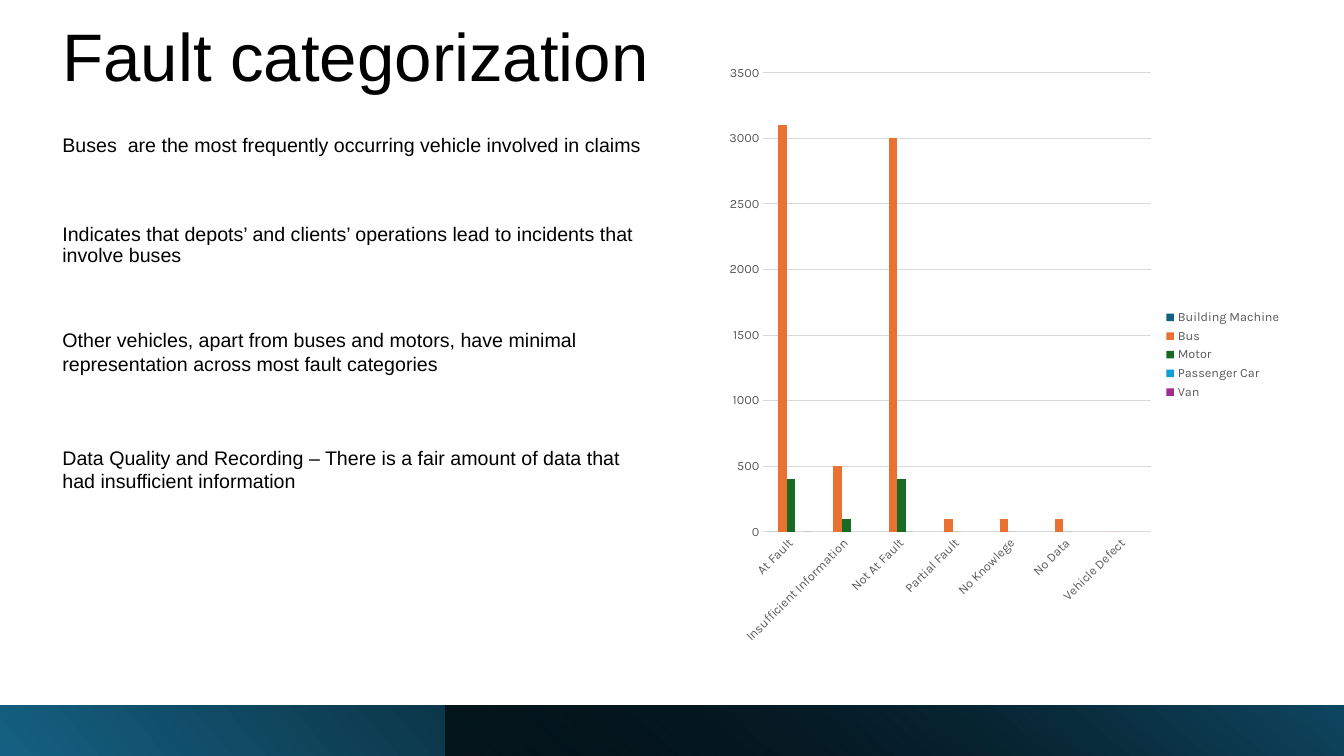
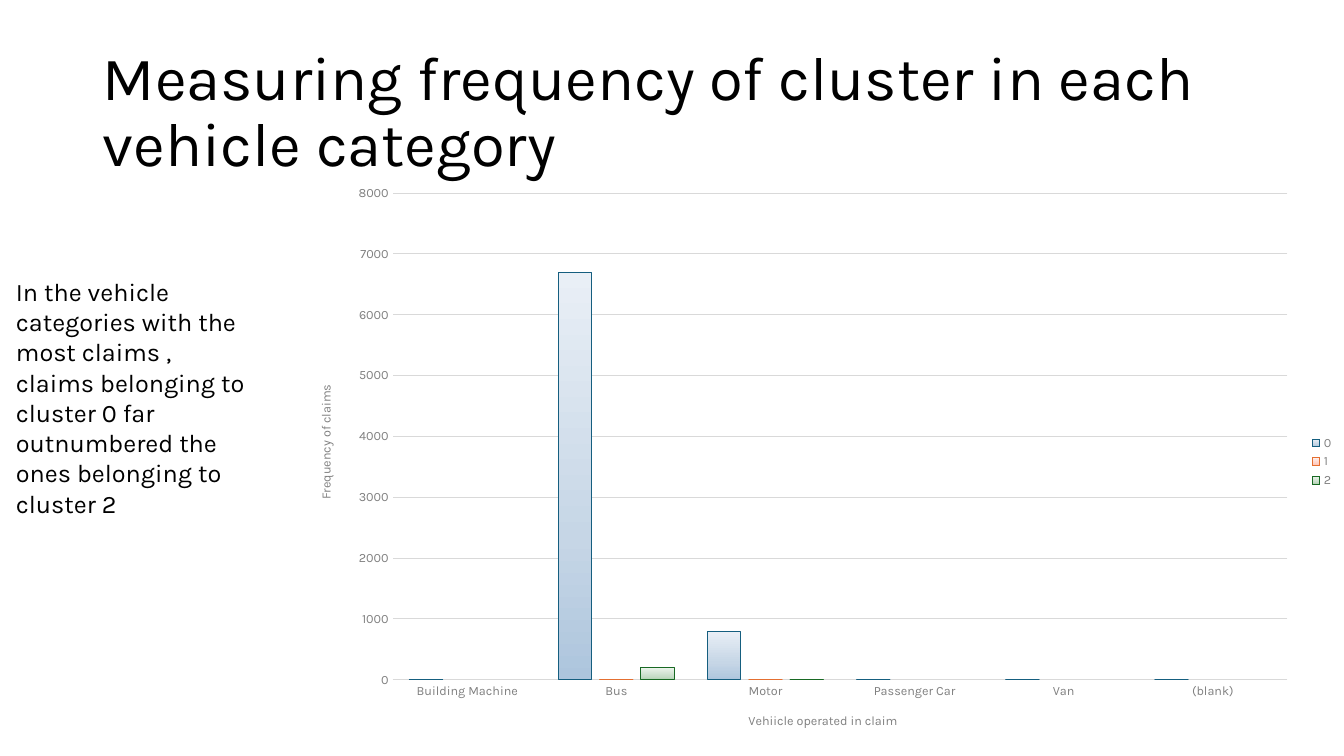
"""Build two slides on vehicle claims: fault categories and cluster frequency."""
from dataclasses import dataclass

from lxml.etree import SubElement
from pptx import Presentation
from pptx.chart.data import CategoryChartData
from pptx.dml.color import RGBColor
from pptx.enum.chart import XL_CHART_TYPE, XL_LEGEND_POSITION, XL_TICK_MARK
from pptx.enum.shapes import MSO_SHAPE
from pptx.enum.text import MSO_ANCHOR, MSO_AUTO_SIZE, PP_ALIGN
from pptx.oxml import parse_xml
from pptx.oxml.ns import nsdecls, qn
from pptx.util import Inches, Pt


@dataclass(frozen=True)
class Theme:
    ink: RGBColor = RGBColor.from_string("000000")
    grid: RGBColor = RGBColor.from_string("D9D9D9")
    fault_label: RGBColor = RGBColor.from_string("595959")
    cluster_label: RGBColor = RGBColor.from_string("808080")
    findings_font: str = "Arial"
    main_font: str = "Karla"
    fault_title: Pt = Pt(48)
    cluster_title: Pt = Pt(44)
    findings: Pt = Pt(14)
    cluster_note: Pt = Pt(18)
    chart_label: Pt = Pt(9)
    band_blue: str = "156082"
    band_dark: str = "000000"
    band_end: str = "104862"
    fault_series: tuple = ("156082", "E97132", "196B24", "0F9ED5", "A02B93")
    cluster_lines: tuple = ("155E7F", "E46F31", "186923")
    cluster_fills: tuple = (
        ("ADC5DD", "C6D6E6", "E9EFF6"),
        ("FFC2B4", "FFD4CA", "FFEEEB"),
        ("B3D2B4", "CADECB", "EBF3EB"),
    )


theme = Theme()


def set_font(font, size, color, name):
    font.size, font.name, font.bold = size, name, False
    font.color.rgb = color


def set_gradient(fill, properties, stops, angle):
    fill.background()
    gradient = parse_xml(f'<a:gradFill rotWithShape="1" {nsdecls("a")}><a:gsLst/>'
                         f'<a:lin ang="{angle * 60000}" scaled="0"/></a:gradFill>')
    for position, color, opacity in stops:
        stop = SubElement(gradient[0], qn("a:gs"), pos=str(position * 1000))
        tint = SubElement(stop, qn("a:srgbClr"), val=color)
        if opacity < 100:
            SubElement(tint, qn("a:alpha"), val=str(opacity * 1000))
    properties.replace(properties.find(qn("a:noFill")), gradient)


prs = Presentation()
prs.slide_width, prs.slide_height = Inches(13.33), Inches(7.5)
title_only = prs.slide_layouts[5]

fault_slide = prs.slides.add_slide(title_only)
cluster_slide = prs.slides.add_slide(title_only)

for slide, heading, area, anchor, size, font_name in (
    (fault_slide, "Fault categorization", (0.52, 0, 6.15, 1),
     MSO_ANCHOR.BOTTOM, theme.fault_title, theme.findings_font),
    (cluster_slide, "Measuring frequency of cluster in each vehicle category",
     (0.92, 0.4, 11.5, 1.45), MSO_ANCHOR.MIDDLE, theme.cluster_title, theme.main_font),
):
    title = slide.shapes.title
    title.left, title.top, title.width, title.height = map(Inches, area)
    title.text_frame.text = heading
    title.text_frame.auto_size = MSO_AUTO_SIZE.NONE
    title.text_frame.vertical_anchor = anchor
    paragraph = title.text_frame.paragraphs[0]
    paragraph.alignment = PP_ALIGN.LEFT
    paragraph.line_spacing = 0.9
    set_font(paragraph.font, size, theme.ink, font_name)

findings = fault_slide.shapes.add_textbox(
    Inches(0.52), Inches(1.3), Inches(6.08), Inches(5.22)).text_frame
findings.word_wrap = True
for index, (finding, gap, spacing) in enumerate((
    ("Buses  are the most frequently occurring vehicle involved in claims", 0, 0.9),
    ("Indicates that depots’ and clients’ operations lead to incidents that involve buses",
     48, 0.9),
    ("Other vehicles, apart from buses and motors, have minimal representation "
     "across most fault categories", 44, 1.0),
    ("Data Quality and Recording – There is a fair amount of data that had "
     "insufficient information", 50, 1.0),
)):
    paragraph = findings.add_paragraph() if index else findings.paragraphs[0]
    paragraph.text = finding
    paragraph.space_before = Pt(gap)
    paragraph.line_spacing = spacing
    set_font(paragraph.font, theme.findings, theme.ink, theme.findings_font)

for left, width, stops, angle in (
    (0, 13.33, ((0, theme.band_blue, 100), (78, theme.band_dark, 100)), 320),
    (4.42, 8.91, ((0, theme.band_dark, 63), (100, theme.band_end, 100)), 310),
):
    band = fault_slide.shapes.add_shape(
        MSO_SHAPE.RECTANGLE, Inches(left), Inches(7), Inches(width), Inches(0.5))
    band.shadow.inherit = False
    band.line.fill.background()
    set_gradient(band.fill, band._element.spPr, stops, angle)

charts = []
for slide, area, label_color, gap, overlap, categories, series_values in (
    (fault_slide, (7.12, 0.53, 5.69, 5.98), theme.fault_label, 150, 0,
     ("At Fault", "Insufficient Information", "Not At Fault", "Partial Fault",
      "No Knowlege", "No Data", "Vehicle Defect"),
     {"Building Machine": (0, None, None, None, None, None, None),
      "Bus": (3100, 500, 3000, 100, 100, 100, 0),
      "Motor": (400, 100, 400, 0, 0, 0, None),
      "Passenger Car": (None, None, 0, None, None, None, None),
      "Van": (0, None, None, None, None, None, None)}),
    (cluster_slide, (2.95, 1.73, 10.38, 5.7), theme.cluster_label, 100, -24,
     ("Building Machine", "Bus", "Motor", "Passenger Car", "Van", "(blank)"),
     {"0": (0, 6700, 800, 0, 0, 0),
      "1": (None, 0, 0, None, None, None),
      "2": (None, 200, 0, None, None, None)}),
):
    chart_data = CategoryChartData()
    chart_data.categories = categories
    for name, values in series_values.items():
        chart_data.add_series(name, values)
    chart = slide.shapes.add_chart(
        XL_CHART_TYPE.COLUMN_CLUSTERED, *map(Inches, area), chart_data).chart
    charts.append(chart)
    chart.has_title = False
    set_font(chart.font, theme.chart_label, label_color, theme.main_font)
    chart.has_legend = True
    chart.legend.position = XL_LEGEND_POSITION.RIGHT
    chart.legend.include_in_layout = False
    set_font(chart.legend.font, theme.chart_label, label_color, theme.main_font)

    plot = chart.plots[0]
    plot.gap_width, plot.overlap = gap, overlap
    plot.vary_by_categories = False
    for axis in (chart.category_axis, chart.value_axis):
        axis.major_tick_mark = axis.minor_tick_mark = XL_TICK_MARK.NONE
        axis.format.line.fill.background()
        set_font(axis.tick_labels.font, theme.chart_label, label_color, theme.main_font)
    chart.value_axis.minimum_scale = 0
    chart.value_axis.has_major_gridlines = True
    gridline = chart.value_axis.major_gridlines.format.line
    gridline.color.rgb, gridline.width = theme.grid, Pt(0.75)

fault_chart, cluster_chart = charts

category_text = fault_chart.category_axis._element.find(qn("c:txPr"))
category_text.find(qn("a:bodyPr")).set("rot", "-2700000")
for series, color in zip(fault_chart.plots[0].series, theme.fault_series):
    series.format.fill.solid()
    series.format.fill.fore_color.rgb = RGBColor.from_string(color)
    series.invert_if_negative = False

baseline = cluster_chart.category_axis.format.line
baseline.color.rgb, baseline.width = theme.grid, Pt(0.75)
for axis, caption in ((cluster_chart.category_axis, "Vehiicle operated in claim"),
                      (cluster_chart.value_axis, "Frequency of claims")):
    axis.axis_title.text_frame.text = caption
    set_font(axis.axis_title.text_frame.paragraphs[0].font,
             theme.chart_label, theme.cluster_label, theme.main_font)
for series, outline, shades in zip(cluster_chart.plots[0].series,
                                   theme.cluster_lines, theme.cluster_fills):
    series.invert_if_negative = False
    series.format.line.color.rgb = RGBColor.from_string(outline)
    series.format.line.width = Pt(0.75)
    set_gradient(series.format.fill, series._element.find(qn("c:spPr")),
                 zip((0, 35, 100), shades, (100, 100, 100)), 270)

cluster_note = cluster_slide.shapes.add_textbox(
    Inches(0.06), Inches(2.69), Inches(2.49), Inches(2.22)).text_frame
cluster_note.word_wrap = True
cluster_note.auto_size = MSO_AUTO_SIZE.SHAPE_TO_FIT_TEXT
cluster_note.text = ("In the vehicle categories with the most claims , claims belonging to "
                     "cluster 0 far outnumbered the ones belonging to cluster 2")
set_font(cluster_note.paragraphs[0].font, theme.cluster_note, theme.ink, theme.main_font)

prs.save("out.pptx")
